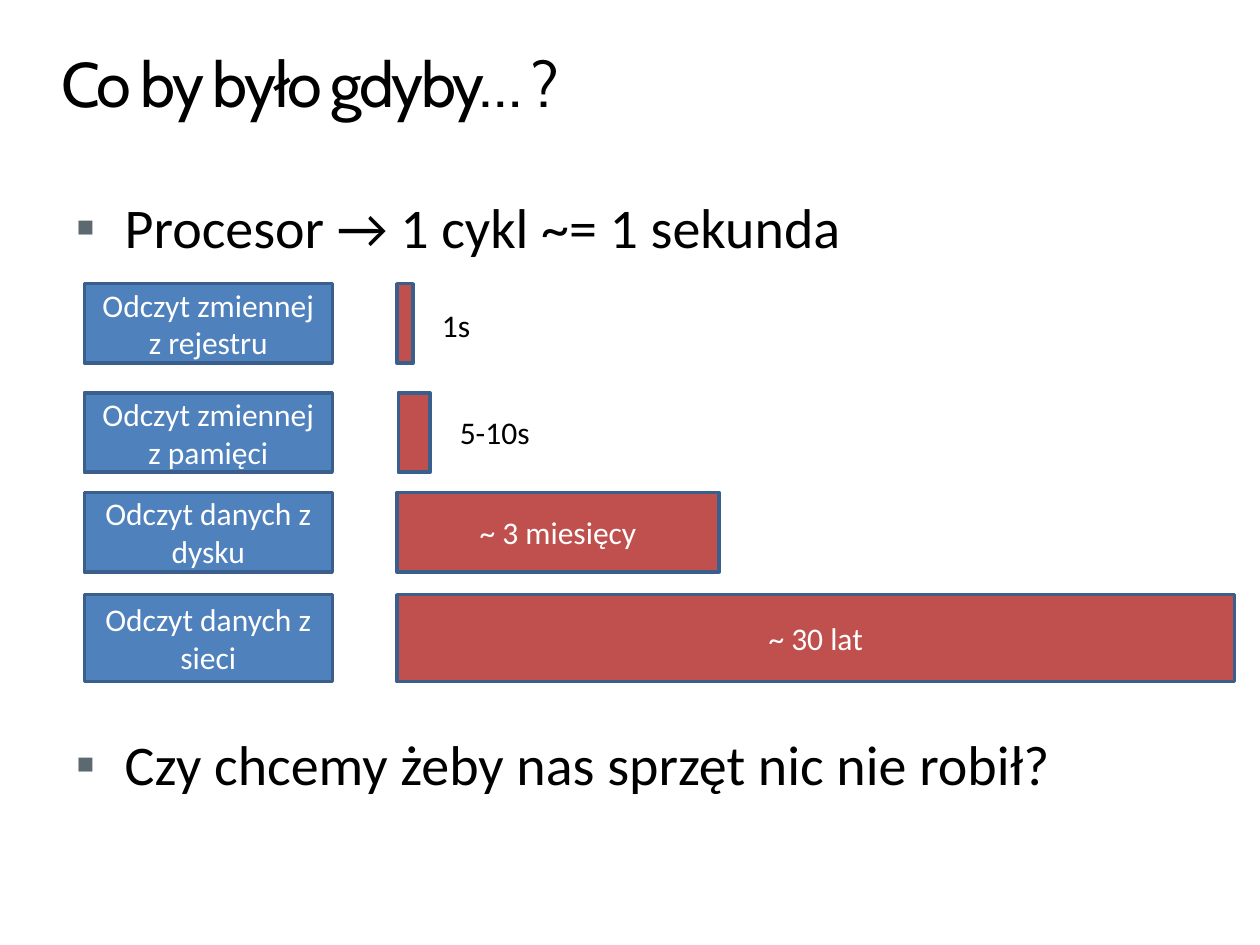
from lxml.etree import SubElement
from pptx import Presentation
from pptx.dml.color import RGBColor
from pptx.enum.shapes import MSO_SHAPE
from pptx.enum.text import MSO_ANCHOR, MSO_AUTO_SIZE, PP_ALIGN
from pptx.oxml.ns import qn
from pptx.util import Cm, Pt

BLACK = RGBColor(0x00, 0x00, 0x00)
WHITE = RGBColor(0xFF, 0xFF, 0xFF)
BLUE = RGBColor(0x4F, 0x81, 0xBD)
RED = RGBColor(0xC0, 0x50, 0x4D)
OUTLINE = RGBColor(0x3A, 0x5F, 0x8C)
BULLET_GREY = RGBColor(0x5D, 0x69, 0x71)

# Operation, top, height, bar left, bar width, text in the bar
ROWS = [
    ("Odczyt zmiennej z rejestru", 5.72, 1.6, 8.0, 0.33, ""),
    ("Odczyt zmiennej z pamięci", 7.92, 1.6, 8.03, 0.64, ""),
    ("Odczyt danych z dysku", 9.93, 1.6, 8.0, 6.5, "~ 3 miesięcy"),
    ("Odczyt danych z sieci", 11.99, 1.75, 8.0, 16.89, "~ 30 lat"),
]
# Time beside a short bar: text, left, top, width
TIMES = [("1s", 8.66, 6.05, 1.09), ("5-10s", 9.02, 8.2, 1.93)]


class SlideBuilder:
    """Holds the text style and the current slide."""

    body_font = "Calibri"
    title_font = "Cabin"
    label_size = Pt(18)
    body_size = Pt(32)
    indent = Cm(0.99)

    def __init__(self, page):
        self.page = page

    def place(self, shape, left, top, width, height):
        shape.left, shape.top = Cm(left), Cm(top)
        shape.width, shape.height = Cm(width), Cm(height)

    def style(self, para, size, color, font=None):
        para.font.name = font or self.body_font
        para.font.size = size
        para.font.color.rgb = color

    def title(self, text):
        box = self.page.shapes.title
        self.place(box, 0, 0.76, 25.4, 2.41)
        frame = box.text_frame
        frame.auto_size = MSO_AUTO_SIZE.NONE
        frame.vertical_anchor = MSO_ANCHOR.TOP
        frame.text = text
        para = frame.paragraphs[0]
        para.alignment = PP_ALIGN.LEFT
        para._p.get_or_add_pPr().set("marL", str(self.indent))
        self.style(para, Pt(36), BLACK, self.title_font)
        para.runs[0].font._element.set("spc", "-150")

    def bullets(self, items):
        box = self.page.placeholders[1]
        self.place(box, 1.27, 3.76, 22.86, 12.7)
        frame = box.text_frame
        frame.auto_size = MSO_AUTO_SIZE.NONE
        frame.text = "\n".join(text for text, gap in items)
        for para, (text, gap) in zip(frame.paragraphs, items):
            para.space_before = gap
            props = para._p.get_or_add_pPr()
            props.set("marL", str(self.indent))
            props.set("indent", str(-self.indent))
            color = SubElement(props, qn("a:buClr"))
            SubElement(color, qn("a:srgbClr")).set("val", str(BULLET_GREY))
            SubElement(props, qn("a:buChar")).set("char", "▪")
            self.style(para, self.body_size, BLACK)

    def bar(self, text, left, top, width, height, fill):
        box = self.page.shapes.add_shape(
            MSO_SHAPE.RECTANGLE, Cm(left), Cm(top), Cm(width), Cm(height))
        box.shadow.inherit = False
        box.fill.solid()
        box.fill.fore_color.rgb = fill
        box.line.color.rgb = OUTLINE
        box.line.width = Pt(2)
        if text:
            frame = box.text_frame
            frame.vertical_anchor = MSO_ANCHOR.MIDDLE
            frame.text = text
            para = frame.paragraphs[0]
            para.alignment = PP_ALIGN.CENTER
            self.style(para, self.label_size, WHITE)

    def label(self, text, left, top, width):
        box = self.page.shapes.add_textbox(Cm(left), Cm(top), Cm(width), Cm(1.03))
        frame = box.text_frame
        frame.word_wrap = False
        frame.auto_size = MSO_AUTO_SIZE.SHAPE_TO_FIT_TEXT
        frame.text = text
        self.style(frame.paragraphs[0], self.label_size, BLACK)


def main():
    deck = Presentation()
    deck.slide_width, deck.slide_height = Cm(25.4), Cm(19.05)
    builder = SlideBuilder(deck.slides.add_slide(deck.slide_layouts[1]))

    # Title and the two points, with room for the bars between them
    builder.title("Co by było gdyby… ?")
    builder.bullets([
        ("Procesor → 1 cykl ~= 1 sekunda", Pt(0)),
        ("Czy chcemy żeby nas sprzęt nic nie robił?", Pt(268)),
    ])

    # Operations and their durations
    for name, top, height, left, width, duration in ROWS:
        builder.bar(name, 1.7, top, 5.0, height, BLUE)
        builder.bar(duration, left, top, width, height, RED)
    for time in TIMES:
        builder.label(*time)

    deck.save("out.pptx")


if __name__ == "__main__":
    main()
